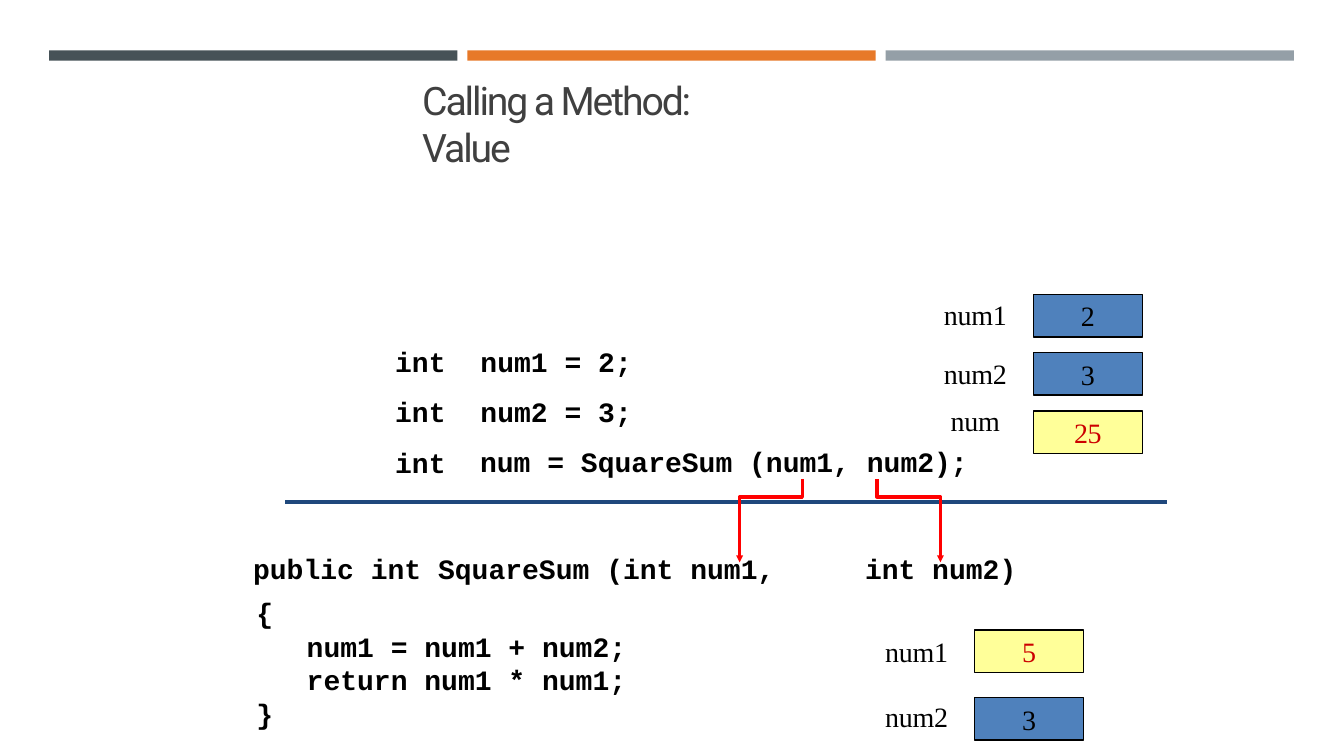
from pptx import Presentation, util as u
from pptx.dml.color import RGBColor
from pptx.enum import shapes, text
from pptx.oxml.ns import qn
from lxml import etree

LEFT, MID = text.PP_ALIGN.LEFT, text.PP_ALIGN.CENTER
BLUE, YELLOW, BLACK, RED = "4F81BC", "FFFF99", "000000", "CC0000"


def paint(color):
    return RGBColor.from_string(color)


def write(frame, lines, font="Courier New", size=20, color=BLACK, bold=False,
          align=LEFT, track=0, lead=None, tab=None):
    """Fill a frame; each line is a string or (string, indent cm, points before)."""
    frame.word_wrap = True
    frame.margin_left = frame.margin_right = 0
    frame.margin_top = frame.margin_bottom = 0
    for i, line in enumerate(lines):
        words, indent, before = (line, 0, 0) if isinstance(line, str) else line
        para = frame.add_paragraph() if i else frame.paragraphs[0]
        para.alignment = align
        para.space_before = u.Pt(before)
        if lead:
            para.line_spacing = lead
        props = para._p.get_or_add_pPr()
        props.set("marL", str(u.Cm(indent)))
        if tab:
            stops = etree.SubElement(props, qn("a:tabLst"))
            etree.SubElement(stops, qn("a:tab"), pos=str(u.Cm(tab)), algn="l")
        run = para.add_run()
        run.text = words
        run.font.name, run.font.size, run.font.bold = font, u.Pt(size), bold
        run.font.color.rgb = paint(color)
        run._r.get_or_add_rPr().set("spc", str(round(track * 100)))


class Deck:
    code = dict(bold=True)
    serif = dict(font="Times New Roman", align=MID)

    def __init__(self):
        self.prs = Presentation()
        self.prs.slide_width, self.prs.slide_height = u.Cm(33.87), u.Cm(19.05)
        self.slide = self.prs.slides.add_slide(self.prs.slide_layouts[6])
        self.items = self.slide.shapes

    def label(self, x, y, w, h, *lines, **style):
        box = self.items.add_textbox(u.Cm(x), u.Cm(y), u.Cm(w), u.Cm(h))
        write(box.text_frame, lines, **style)

    def rect(self, x, y, w, h, fill, edge=None):
        box = self.items.add_shape(shapes.MSO_SHAPE.RECTANGLE,
                                   u.Cm(x), u.Cm(y), u.Cm(w), u.Cm(h))
        box.shadow.inherit = False
        box.fill.solid()
        box.fill.fore_color.rgb = paint(fill)
        if edge:
            box.line.color.rgb = paint(edge)
            box.line.width = u.Pt(1)
        else:
            box.line.fill.background()
        return box

    def slot(self, name, value, x, y, drop, fill, color):
        """Draw a variable: its boxed value, and its name lowered by drop."""
        box = self.rect(x, y, 2.75, 1.07, fill, BLACK)
        box.text_frame.vertical_anchor = text.MSO_ANCHOR.MIDDLE
        write(box.text_frame, [value], color=color, track=-0.4, **self.serif)
        self.label(x - 2.3, y + drop, 1.68, 0.91, name, track=-0.2, **self.serif)

    def rule(self, x, y, end, color):
        line = self.items.add_connector(shapes.MSO_CONNECTOR.STRAIGHT,
                                        u.Cm(x), u.Cm(y), u.Cm(end), u.Cm(y))
        line.line.color.rgb = paint(color)
        line.line.width = u.Pt(2.5)
        etree.SubElement(line._element.spPr, qn("a:effectLst"))

    def arrow(self, start, end, color):
        """Pass an argument down: drop, run sideways, drop to the parameter."""
        top, bend, tip = 12.07, 12.52, 14.17
        points = [(start, bend), (end, bend), (end, tip)]
        pen = self.items.build_freeform(u.Cm(start), u.Cm(top))
        pen.add_line_segments([(u.Cm(x), u.Cm(y)) for x, y in points], close=False)
        path = pen.convert_to_shape()
        path.shadow.inherit = False
        path.fill.background()
        path.line.color.rgb = paint(color)
        path.line.width = u.Pt(2.5)
        etree.SubElement(path.line._get_or_add_ln(), qn("a:tailEnd"),
                         type="triangle", w="sm", len="sm")


def main():
    deck = Deck()
    for i, color in enumerate(("465257", "E77929", "949FA7")):
        deck.rect(1.24 + 10.54 * i, 1.27, 10.29, 0.26, color)
    deck.label(10.64, 1.93, 9.53, 2.4, "Calling a Method:", "Value",
               font="Roboto", size=28, color="404040", track=-1.5)

    deck.label(9.96, 8.26, 6.1, 3.86, "int\tnum1 = 2;", "int\tnum2 = 3;", "int",
               lead=1.5, tab=2.15, **deck.code)
    deck.label(12.1, 11.2, 12.34, 0.91, "num = SquareSum (num1, num2);", **deck.code)
    deck.label(6.38, 13.89, 13.18, 4.55, "public int SquareSum (int num1,",
               ("{", 0.08, 7.8), ("num1 = num1 + num2;", 1.35, 0),
               ("return num1 * num1;", 1.35, 0), ("}", 0.08, 0), **deck.code)
    deck.label(21.8, 13.9, 3.89, 0.91, "int num2)", **deck.code)

    deck.rule(7.19, 12.65, 29.41, "1F487C")
    for start, end in ((20.22, 18.64), (22.1, 23.7)):
        deck.arrow(start, end, "FF0000")

    for row in (("num1", "2", 26.04, 7.42, 0.07, BLUE, BLACK),
                ("num2", "3", 26.04, 8.89, 0.1, BLUE, BLACK),
                ("num", "25", 26.04, 10.36, -0.18, YELLOW, RED),
                ("num1", "5", 24.56, 15.88, 0.1, YELLOW, RED),
                ("num2", "3", 24.56, 17.58, 0.05, BLUE, BLACK)):
        deck.slot(*row)
    deck.prs.save("out.pptx")


if __name__ == "__main__":
    main()
